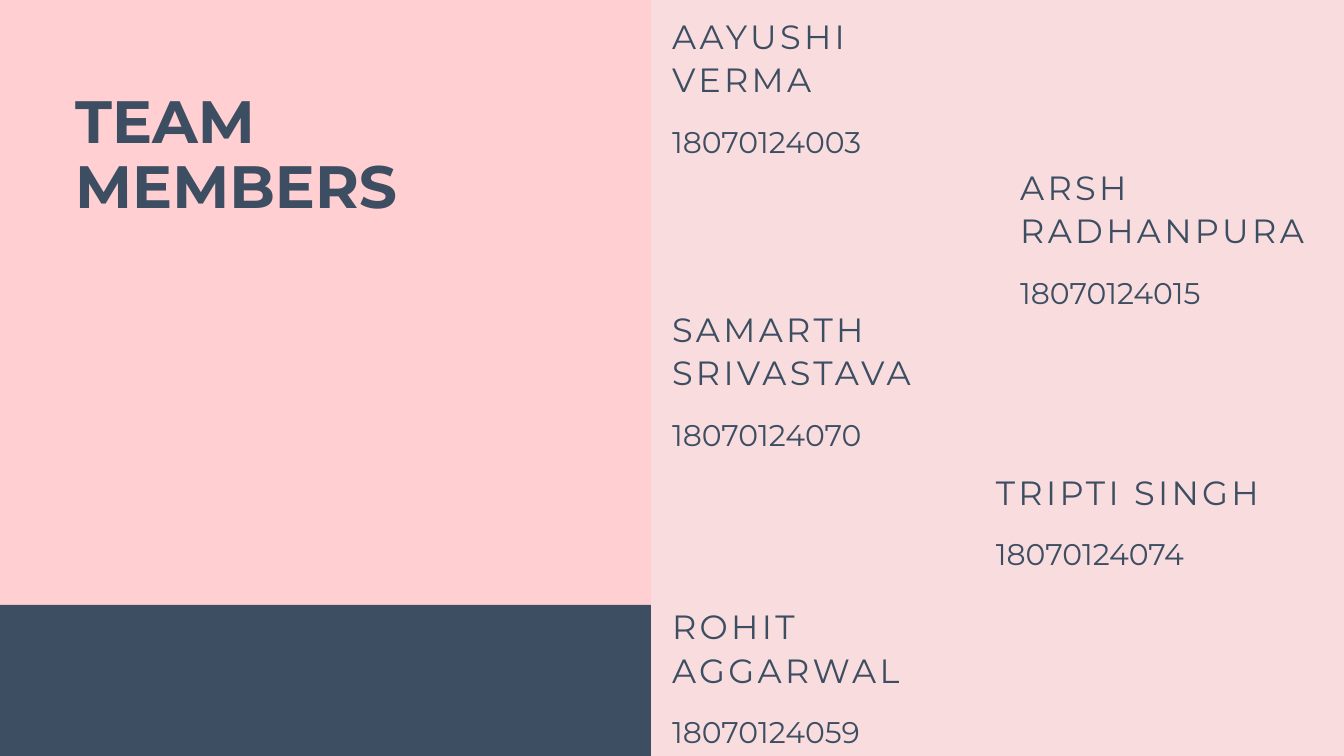
from pptx import Presentation
from pptx.dml.color import RGBColor
from pptx.enum.shapes import MSO_SHAPE as Shape
from pptx.enum.text import MSO_ANCHOR as Anchor, MSO_AUTO_SIZE as AutoSize, PP_ALIGN as Align
from pptx.util import Pt

COLORS = {"blush": "FFCFD1", "pale": "F8DCDE", "slate": "3D4E62"}
FONT = "Montserrat"
WIDTH, HEIGHT = 1440, 810
SPLIT, BAND_TOP = 697.5, 648
CARD_WIDTH, NAME_LINE, NUMBER_LINE, NAME_GAP = 347, 46.8, 44.8, 19
MEMBERS = [
    ("AAYUSHI VERMA", "18070124003", 720, 13, 2),
    ("SAMARTH SRIVASTAVA", "18070124070", 720, 327, 2),
    ("ARSH RADHANPURA", "18070124015", 1093, 175, 2),
    ("TRIPTI SINGH", "18070124074", 1067, 502, 1),
    ("ROHIT AGGARWAL", "18070124059", 720, 646, 2),
]


def write(shape, text, size, line, align=Align.LEFT, bold=False, tracking=0):
    """Set and format the text of a shape without margins."""
    frame = shape.text_frame
    frame.text = text
    frame.word_wrap = True
    frame.auto_size = AutoSize.NONE
    frame.vertical_anchor = Anchor.TOP
    frame.margin_left = frame.margin_right = frame.margin_top = frame.margin_bottom = 0
    para = frame.paragraphs[0]
    para.alignment = align
    para.line_spacing = Pt(line)
    para.space_before = Pt(0)
    font = para.runs[0].font
    font.name, font.size, font.bold = FONT, Pt(size), bold
    font.color.rgb = RGBColor.from_string(COLORS["slate"])
    if tracking:
        para.runs[0]._r.get_or_add_rPr().set("spc", str(tracking))


def add_panel(page, box, color):
    """Draw a plain rectangle in the given box."""
    panel = page.shapes.add_shape(Shape.RECTANGLE, *map(Pt, box))
    panel.shadow.inherit = False
    panel.fill.solid()
    panel.fill.fore_color.rgb = RGBColor.from_string(COLORS[color])
    panel.line.fill.background()


def add_title(page, box, text):
    """Place and format the title placeholder."""
    title = page.shapes.title
    title.left, title.top, title.width, title.height = map(Pt, box)
    write(title, text, 64, 70.4, bold=True)


def add_member(page, left, top, name, number, lines):
    """Add a member's name with the number below it as one group."""
    group = page.shapes.add_group_shape()
    name_height = lines * NAME_LINE
    name_box = group.shapes.add_textbox(Pt(left), Pt(top), Pt(CARD_WIDTH), Pt(name_height))
    write(name_box, name, 36, NAME_LINE, Align.JUSTIFY, tracking=360)
    number_top = top + name_height + NAME_GAP
    number_box = group.shapes.add_textbox(Pt(left), Pt(number_top), Pt(CARD_WIDTH), Pt(NUMBER_LINE))
    write(number_box, number, 32, NUMBER_LINE)


def build_team_slide(deck):
    """Build the team members slide."""
    page = deck.slides.add_slide(deck.slide_layouts[5])
    page.background.fill.solid()
    page.background.fill.fore_color.rgb = RGBColor.from_string(COLORS["blush"])
    add_title(page, (80.6, 95.8, 538, 142), "TEAM MEMBERS")
    add_panel(page, (SPLIT, 0, WIDTH - SPLIT, HEIGHT), "pale")
    add_panel(page, (0, BAND_TOP, SPLIT, HEIGHT - BAND_TOP), "slate")
    for name, number, left, top, lines in MEMBERS:
        add_member(page, left, top, name, number, lines)


def main():
    """Create and save the deck."""
    deck = Presentation()
    deck.slide_width, deck.slide_height = Pt(WIDTH), Pt(HEIGHT)
    build_team_slide(deck)
    deck.save("out.pptx")


if __name__ == "__main__":
    main()
